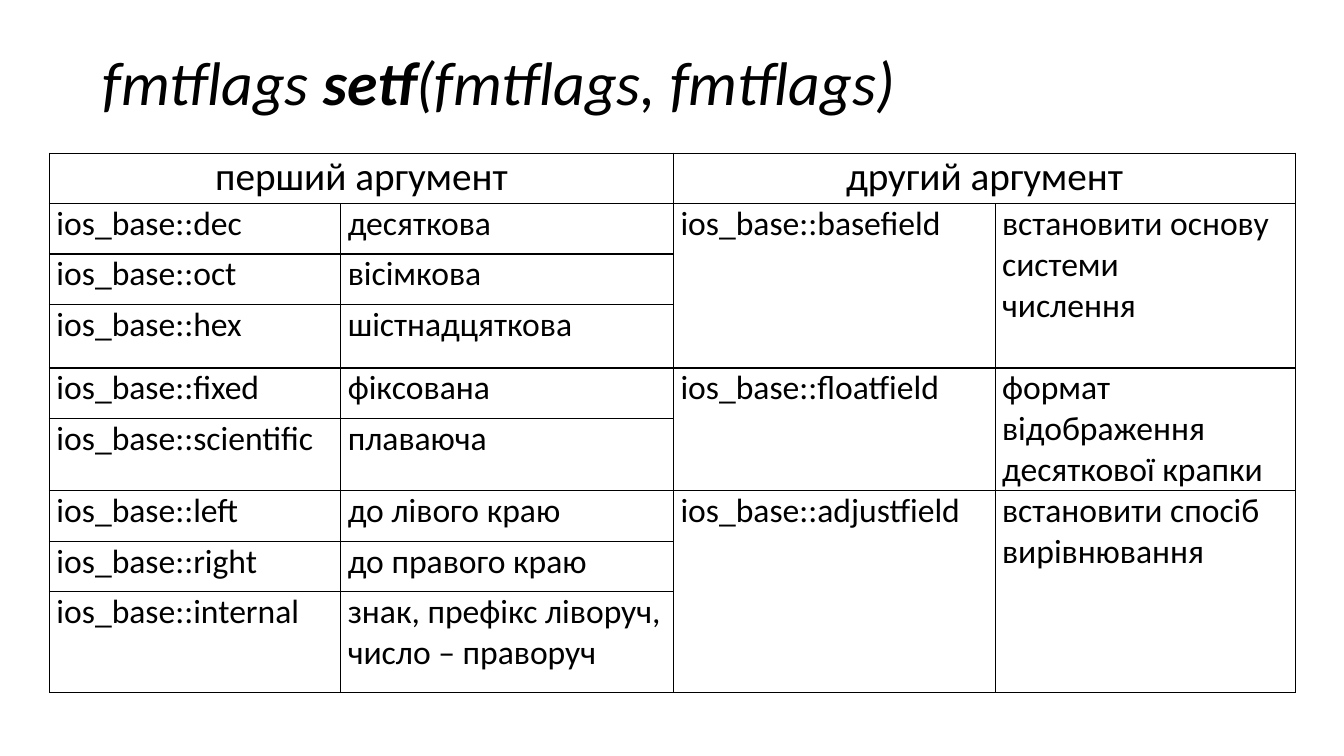
from lxml.etree import SubElement
from pptx import Presentation
from pptx.dml.color import RGBColor
from pptx.enum.text import MSO_ANCHOR, PP_ALIGN
from pptx.oxml.ns import qn
from pptx.util import Inches, Pt

BLACK = RGBColor(0x00, 0x00, 0x00)
FONT = "Calibri"

TITLE = [("fmtflags ", False), ("setf", True), ("(fmtflags, fmtflags)", False)]
COL_WIDTHS = [2.89, 3.3, 3.19, 2.98]
ROW_HEIGHTS = [0.5, 0.5, 0.5, 0.63, 0.5, 0.72, 0.5, 0.5, 1]
HEADERS = ["перший аргумент", "другий аргумент"]

# Each group: second argument, its meaning, and the flags it covers
GROUPS = [
    ("ios_base::basefield", "встановити основу системи\nчислення",
     [("ios_base::dec", "десяткова"),
      ("ios_base::oct", "вісімкова"),
      ("ios_base::hex", "шістнадцяткова")]),
    ("ios_base::floatfield", "формат відображення\nдесяткової крапки",
     [("ios_base::fixed", "фіксована"),
      ("ios_base::scientific", "плаваюча")]),
    ("ios_base::adjustfield", "встановити спосіб вирівнювання",
     [("ios_base::left", "до лівого краю"),
      ("ios_base::right", "до правого краю"),
      ("ios_base::internal", "знак, префікс ліворуч, число – праворуч")]),
]


def style_run(r, size, bold=False, italic=False):
    r.font.name = FONT
    r.font.size = Pt(size)
    r.font.bold = bold
    r.font.italic = italic
    r.font.color.rgb = BLACK


def add_title(slide, left, top, width, height):
    sp = slide.shapes.add_textbox(Inches(left), Inches(top), Inches(width), Inches(height))
    tf = sp.text_frame
    tf.word_wrap = True
    tf.vertical_anchor = MSO_ANCHOR.MIDDLE
    p = tf.paragraphs[0]
    p.line_spacing = 0.9
    for text, bold in TITLE:
        r = p.add_run()
        r.text = text
        style_run(r, 44, bold, italic=True)


def format_cell(cell):
    # Thin black border on every side, no fill
    tc_pr = cell._tc.get_or_add_tcPr()
    for side in ("a:lnL", "a:lnR", "a:lnT", "a:lnB"):
        ln = SubElement(tc_pr, qn(side), w=str(Pt(1)))
        fill = SubElement(ln, qn("a:solidFill"))
        SubElement(fill, qn("a:srgbClr"), val=str(BLACK))
    cell.fill.background()
    cell.margin_left = cell.margin_right = Inches(0.07)
    cell.margin_top = cell.margin_bottom = 0


def set_cell(cell, text, size=24, align=PP_ALIGN.LEFT):
    cell.text_frame.text = text
    for p in cell.text_frame.paragraphs:
        p.alignment = align
        for r in p.runs:
            style_run(r, size)


def add_flags_table(slide, left, top):
    frame = slide.shapes.add_table(
        len(ROW_HEIGHTS), len(COL_WIDTHS), Inches(left), Inches(top),
        Inches(sum(COL_WIDTHS)), Inches(sum(ROW_HEIGHTS)))
    table = frame.table
    table.first_row = table.horz_banding = False
    for col, width in zip(table.columns, COL_WIDTHS):
        col.width = Inches(width)
    for row, height in zip(table.rows, ROW_HEIGHTS):
        row.height = Inches(height)
    for cell in table.iter_cells():
        format_cell(cell)

    # Header row: each heading spans two columns
    for i, header in enumerate(HEADERS):
        cell = table.cell(0, 2 * i)
        cell.merge(table.cell(0, 2 * i + 1))
        set_cell(cell, header, 28, PP_ALIGN.CENTER)

    # Flag rows, with the second argument merged down its group
    first = 1
    for field, meaning, flags in GROUPS:
        last = first + len(flags) - 1
        for col, text in ((2, field), (3, meaning)):
            cell = table.cell(first, col)
            cell.merge(table.cell(last, col))
            set_cell(cell, text)
        for row, flag in enumerate(flags, first):
            for col, text in enumerate(flag):
                set_cell(table.cell(row, col), text)
        first = last + 1


prs = Presentation()
prs.slide_width, prs.slide_height = Inches(13.33), Inches(7.5)
slide = prs.slides.add_slide(prs.slide_layouts[6])
add_title(slide, 0.92, 0.4, 11.5, 0.9)
add_flags_table(slide, 0.49, 1.52)
prs.save("out.pptx")
